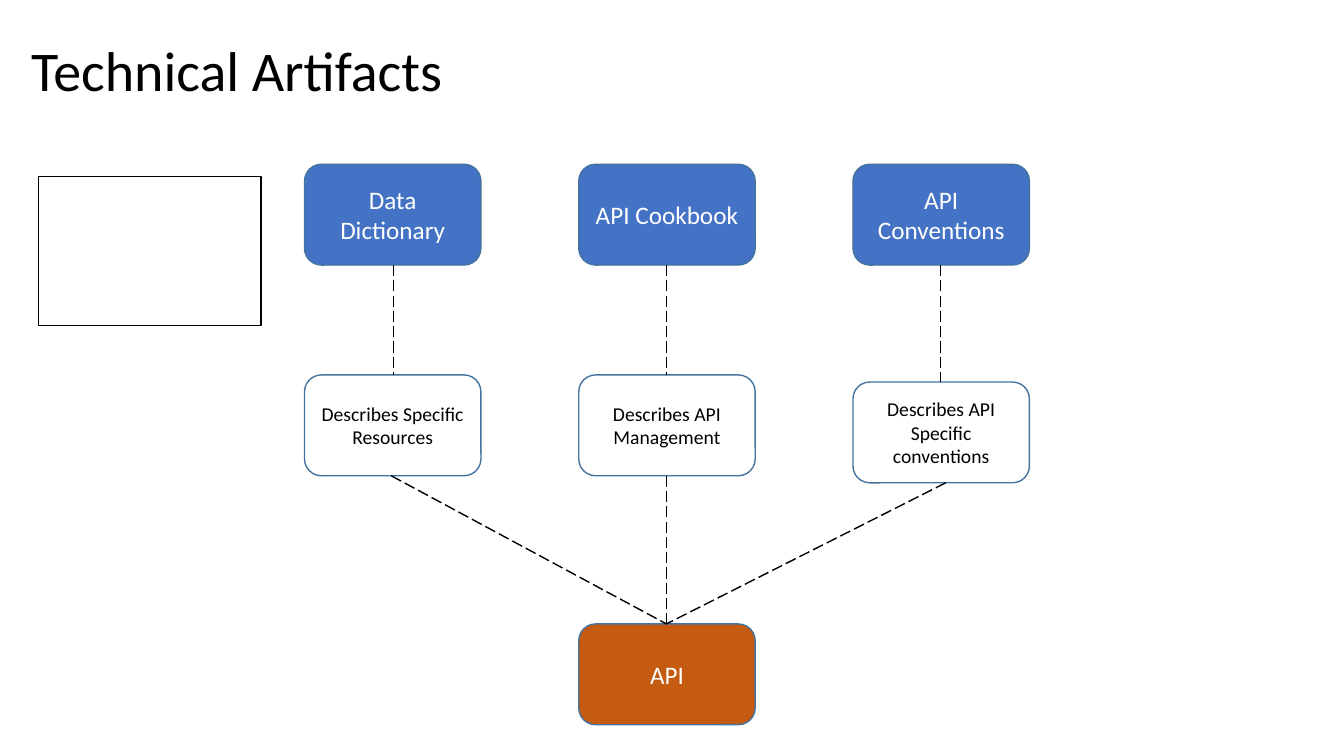
import dataclasses

import pptx
import pptx.util
import pptx.dml.color
import pptx.enum.dml
import pptx.enum.shapes
import pptx.enum.text
import pptx.oxml.ns
from lxml import etree

SCALE = 9144  # EMU in one px, at 100 px to the inch


@dataclasses.dataclass(frozen=True)
class Theme:
    font: str = "Calibri"
    white: str = "FFFFFF"
    black: str = "000000"
    blue: str = "4472C4"
    edge: str = "43739E"
    orange: str = "C55A11"
    title: int = 40
    head: int = 18
    note: int = 14
    line: int = 1


def px(n):
    return pptx.util.Emu(n * SCALE)


def color(code):
    return pptx.dml.color.RGBColor.from_string(code)


class Board:
    def __init__(self, deck, theme):
        self.theme = theme
        self.slide = deck.slides.add_slide(deck.slide_layouts[6])

    def label(self, shape, text, size, ink, align):
        frame = shape.text_frame
        frame.word_wrap = True
        frame.vertical_anchor = pptx.enum.text.MSO_ANCHOR.MIDDLE
        frame.text = text
        para = frame.paragraphs[0]
        para.alignment = align
        font = para.runs[0].font
        font.name = self.theme.font
        font.size = pptx.util.Pt(size)
        font.color.rgb = color(ink)
        return para

    def title(self, text, x, y, w, h):
        box = self.slide.shapes.add_textbox(px(x), px(y), px(w), px(h))
        para = self.label(box, text, self.theme.title, self.theme.black,
                          pptx.enum.text.PP_ALIGN.LEFT)
        para.line_spacing = 0.9

    def shape(self, kind, x, y, w, h, fill, edge):
        item = self.slide.shapes.add_shape(kind, px(x), px(y), px(w), px(h))
        item.shadow.inherit = False
        item.fill.solid()
        item.fill.fore_color.rgb = color(fill)
        item.line.color.rgb = color(edge)
        item.line.width = pptx.util.Pt(self.theme.line)
        return item

    def card(self, text, x, y, fill, size, ink):
        item = self.shape(pptx.enum.shapes.MSO_SHAPE.ROUNDED_RECTANGLE,
                          x, y, CARD_W, CARD_H, fill, self.theme.edge)
        self.label(item, text, size, ink, pptx.enum.text.PP_ALIGN.CENTER)

    def frame(self, x, y, w, h):
        self.shape(pptx.enum.shapes.MSO_SHAPE.RECTANGLE, x, y, w, h,
                   self.theme.white, self.theme.black)

    def dash(self, x1, y1, x2, y2):
        link = self.slide.shapes.add_connector(
            pptx.enum.shapes.MSO_CONNECTOR.STRAIGHT,
            px(x1), px(y1), px(x2), px(y2))
        link.line.color.rgb = color(self.theme.black)
        link.line.width = pptx.util.Pt(self.theme.line)
        link.line.dash_style = pptx.enum.dml.MSO_LINE.LONG_DASH
        props = link._element.spPr
        etree.SubElement(props, pptx.oxml.ns.qn("a:effectLst"))


# Layout in px
CARD_W, CARD_H = 175, 100
LEFT, STEP = 302, 272
HEAD_Y, API_Y = 163, 619
API_X = LEFT + STEP
HUB = 661

# Heading, note, top of the note, centre line, start of the link to the API
COLUMNS = [
    ("Data Dictionary", "Describes Specific Resources", 372, 390, 388),
    ("API Cookbook", "Describes API Management", 372, HUB, HUB),
    ("API Conventions", "Describes API Specific conventions", 379, 933, 938),
]


def main():
    deck = pptx.Presentation()
    deck.slide_width, deck.slide_height = px(1333), px(750)
    theme = Theme()
    board = Board(deck, theme)

    # Title
    board.title("Technical Artifacts", 21, 0, 1150, 145)

    # Artifacts and their notes
    for i, (head, note, top, mid, foot) in enumerate(COLUMNS):
        x = LEFT + i * STEP
        board.card(head, x, HEAD_Y, theme.blue, theme.head, theme.white)
        board.card(note, x, top, theme.white, theme.note, theme.black)

    # Shared API
    board.card("API", API_X, API_Y, theme.orange, theme.head, theme.white)

    # Dashed links
    for head, note, top, mid, foot in COLUMNS:
        board.dash(mid, HEAD_Y + CARD_H, mid, top)
        board.dash(foot, top + CARD_H, HUB, API_Y)

    # Empty frame
    board.frame(38, 175, 221, 148)

    deck.save("out.pptx")


if __name__ == "__main__":
    main()
